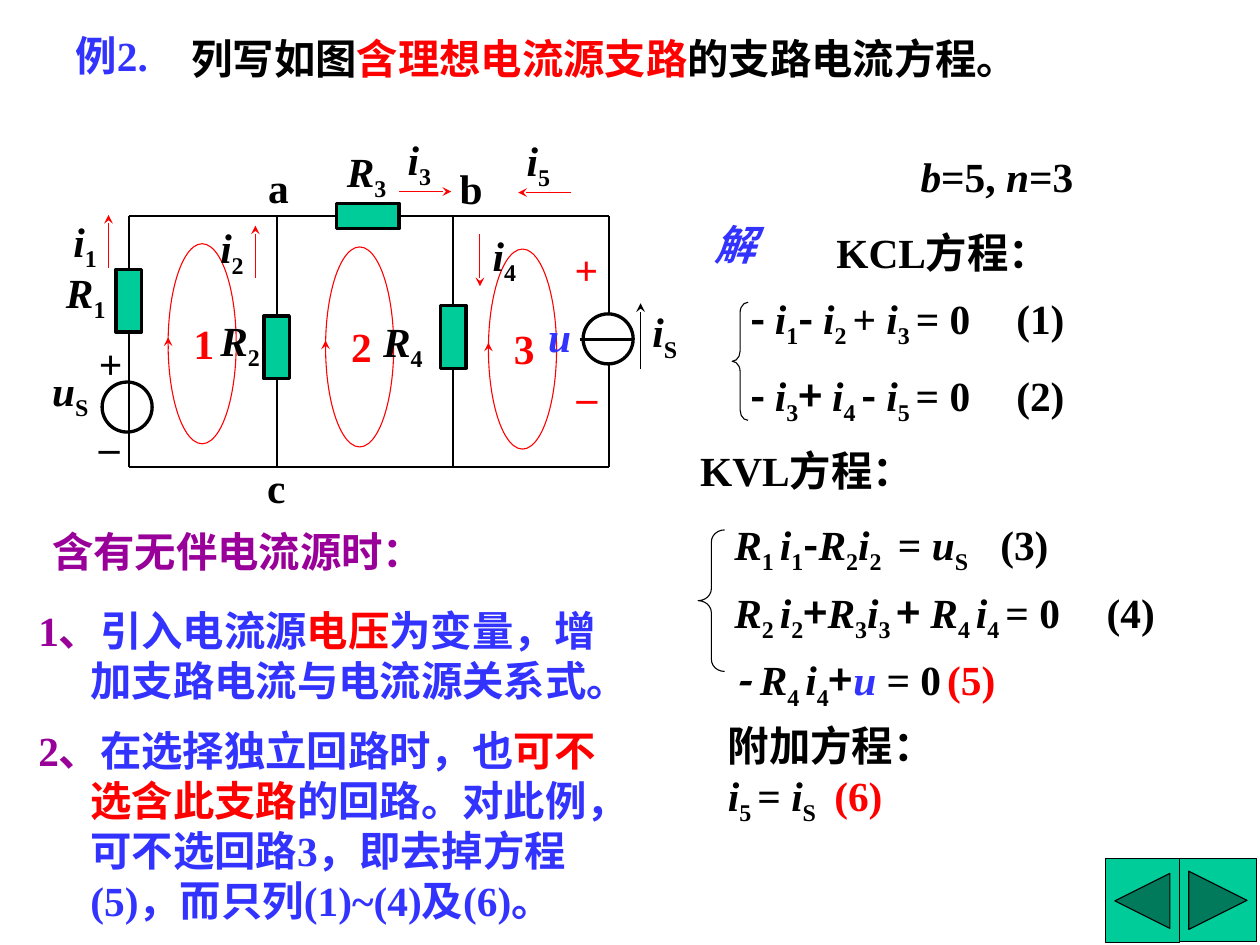
from lxml import etree
from pptx import Presentation
from pptx.dml.color import RGBColor
from pptx.enum.shapes import MSO_CONNECTOR, MSO_SHAPE
from pptx.enum.text import MSO_ANCHOR, MSO_AUTO_SIZE, PP_ALIGN
from pptx.oxml.ns import qn
from pptx.util import Inches, Pt

RECT, OVAL, BRACE = MSO_SHAPE.RECTANGLE, MSO_SHAPE.OVAL, MSO_SHAPE.LEFT_BRACE
BACK = MSO_SHAPE.ACTION_BUTTON_BACK_OR_PREVIOUS
NEXT = MSO_SHAPE.ACTION_BUTTON_FORWARD_OR_NEXT
STRAIGHT = MSO_CONNECTOR.STRAIGHT
TOP, LEFT, FIXED = MSO_ANCHOR.TOP, PP_ALIGN.LEFT, MSO_AUTO_SIZE.NONE

SERIF, SANS = "Times New Roman", "Noto Sans CJK SC"
BLACK, RED, BLUE, PURPLE, GREEN = "000000", "FF0000", "3333FF", "990099", "00CC99"

# Inline marks, each switching a style on or off:
# * italic, _ subscript, ` sans symbol, $ red, # blue
MARKS = "*_`$#"


def rgb(code):
    return RGBColor.from_string(code)


def parts(text):
    """Split marked text into (piece, active marks)."""
    on, piece = set(), ""
    for char in text:
        if char in MARKS:
            if piece:
                yield piece, set(on)
            piece = ""
            on ^= {char}
        else:
            piece += char
    if piece:
        yield piece, on


class Board:
    def __init__(self, wide, high):
        self.deck = Presentation()
        self.deck.slide_width, self.deck.slide_height = Inches(wide), Inches(high)
        self.slide = self.deck.slides.add_slide(self.deck.slide_layouts[1])
        self.shapes = self.slide.shapes

    def fill(self, frame, lines, color=BLACK, gap=0, lead=1.0, hang=0, tabs=()):
        """Fill a text frame with marked lines."""
        frame.word_wrap, frame.auto_size = True, FIXED
        frame.vertical_anchor = TOP
        frame.margin_left = frame.margin_right = Inches(0.12)
        frame.margin_top = frame.margin_bottom = Inches(0.06)
        for n, line in enumerate(lines):
            para = frame.paragraphs[0] if n == 0 else frame.add_paragraph()
            para.alignment, para.line_spacing = LEFT, lead
            para.space_before = Pt(gap if n else 0)
            props = para._p.get_or_add_pPr()
            props.set("marL", str(Inches(hang)))
            props.set("indent", str(-Inches(hang)))
            etree.SubElement(props, qn("a:buNone"))
            if "\t" in line:
                stops = etree.SubElement(props, qn("a:tabLst"))
                etree.SubElement(stops, qn("a:tab"), pos=str(Inches(tabs[n])), algn="l")
            font = para.font
            font.size, font.bold, font.name = Pt(28), True, SERIF
            font.color.rgb = rgb(color)
            etree.SubElement(props.find(qn("a:defRPr")), qn("a:ea"), typeface=SANS)
            for piece, on in parts(line):
                run = para.add_run()
                run.text = piece
                if "*" in on:
                    run.font.italic = True
                if "_" in on:
                    run._r.get_or_add_rPr().set("baseline", "-25000")
                if "`" in on:
                    run.font.name = SANS
                if on & {"$", "#"}:
                    run.font.color.rgb = rgb(RED if "$" in on else BLUE)

    def text(self, x, y, w, h, *lines, **style):
        box = self.shapes.add_textbox(Inches(x), Inches(y), Inches(w), Inches(h))
        self.fill(box.text_frame, lines, **style)

    def label(self, x, y, text, color=BLACK):
        self.text(x, y, 0.8, 0.59, text, color=color)

    def hold(self, item, x, y, w, h, *lines, **style):
        """Move a placeholder and fill it."""
        item.left, item.top, item.width, item.height = map(Inches, (x, y, w, h))
        self.fill(item.text_frame, lines, **style)

    def shape(self, kind, x, y, w, h, fill=None, line=BLACK, width=0.75):
        item = self.shapes.add_shape(kind, Inches(x), Inches(y), Inches(w), Inches(h))
        item.shadow.inherit = False
        if fill:
            item.fill.solid()
            item.fill.fore_color.rgb = rgb(fill)
        else:
            item.fill.background()
        item.line.color.rgb, item.line.width = rgb(line), Pt(width)
        return item

    def brace(self, x, y, w, h, bend):
        self.shape(BRACE, x, y, w, h).adjustments[0] = bend

    def wire(self, x1, y1, x2, y2, color=BLACK, width=1.5, head=False, start=None, end=None):
        """Draw a line; start and end are (shape, side) joints."""
        item = self.shapes.add_connector(STRAIGHT, *map(Inches, (x1, y1, x2, y2)))
        item.line.color.rgb, item.line.width = rgb(color), Pt(width)
        props = item._element.spPr
        if head:
            etree.SubElement(props.find(qn("a:ln")), qn("a:tailEnd"), type="stealth")
        etree.SubElement(props, qn("a:effectLst"))
        if start:
            item.begin_connect(*start)
        if end:
            item.end_connect(*end)

    def arrow(self, x1, y1, x2, y2, color=RED):
        self.wire(x1, y1, x2, y2, color, 0.75, True)


def main():
    board = Board(11.84, 8.88)
    title, body = board.slide.placeholders

    # Heading
    board.text(0.59, 0.22, 1.14, 0.59, "例2.", color=BLUE)
    board.hold(title, 1.68, 0.25, 9.62, 0.59, "列写如图$含理想电流源支路$的支路电流方程。")

    # Mesh loops
    for n, (x, y) in enumerate([(1.58, 2.29), (3.06, 2.32), (4.59, 2.34)], 1):
        board.shape(OVAL, x, y, 0.64, 1.88, line=RED)
        board.label(x + 0.12, y + 0.64, str(n), RED)
        board.arrow(x, y + 0.99, x, y + 0.88)

    # Circuit wires and parts
    roof, floor = 2.03, 4.39
    west, mid, east, end = 1.21, 2.6, 4.26, 5.72
    for x in (west, mid):
        board.wire(x, floor, x, roof)
    board.wire(west, floor, end, floor)
    for x, y in ((west, 2.53), (mid, 2.97)):
        board.shape(RECT, x - 0.12, y, 0.24, 0.59, GREEN, width=2.25)
    r3 = board.shape(RECT, 3.16, roof - 0.12, 0.59, 0.24, GREEN, width=2.25)
    r4 = board.shape(RECT, east - 0.12, 2.87, 0.24, 0.59, GREEN, width=2.25)
    board.wire(west, roof, 3.16, roof, end=(r3, 1))
    board.wire(3.75, roof, end, roof, start=(r3, 3))
    board.wire(east, roof, east, 2.87, end=(r4, 0))
    board.wire(east, 3.46, east, floor, start=(r4, 2))
    board.wire(end, roof, end, 2.95)
    board.wire(end, 3.42, end, floor)
    for x, y in ((0.96, 3.59), (5.48, 2.95)):
        board.shape(OVAL, x, y, 0.47, 0.47, width=2.25)
    board.wire(5.45, 3.19, 5.94, 3.19)

    # Current arrows
    for ends in [(1.02, 2.52, 1.02, 2.02), (2.4, 2.61, 2.4, 2.12), (3.75, 1.8, 4.24, 1.8),
                 (4.51, 2.2, 4.51, 2.69), (5.37, 1.81, 4.87, 1.81)]:
        board.arrow(*ends)
    board.arrow(6.02, 3.47, 6.02, 2.85, BLACK)

    # Circuit labels
    for x, y, name in [
        (0.57, 1.97, "*i*_1"), (1.95, 2.03, "*i*_2"), (3.71, 1.2, "*i*_3"),
        (4.51, 2.1, "*i*_4"), (4.83, 1.21, "*i*_5"), (6.01, 2.82, "*i*_S"),
        (0.5, 2.45, "*R*_1"), (1.95, 2.9, "*R*_2"), (3.14, 1.31, "*R*_3"),
        (3.48, 2.91, "*R*_4"), (0.37, 3.37, "*u*_S"), (5.03, 2.86, "#*u"),
        (2.4, 1.46, "a"), (4.2, 1.47, "b"), (2.39, 4.28, "c"),
        (0.81, 3.12, "+"), (0.81, 3.9, "–"), (5.28, 2.23, "$+"), (5.3, 3.43, "$–"),
    ]:
        board.label(x, y, name)

    # Node equations
    board.text(8.53, 1.36, 2.15, 0.59, "*b*=5, *n*=3")
    board.text(6.59, 2, 0.96, 0.59, "*解", color=BLUE)
    board.text(7.74, 2.07, 2.47, 0.59, "KCL方程：")
    board.text(6.93, 2.69, 4.32, 1.29,
               "`- `*i*_1_`- `*i*_2 _+ *i*_3 _= 0\t(1)",
               "`- `*i*_3_`+ `*i*_4 _`- `*i*_5 _= 0\t(2)",
               gap=14, tabs=(3.14, 3.24))
    board.brace(6.88, 2.84, 0.15, 1.11, 0.63)

    # Loop equations
    board.text(6.46, 4.12, 2.56, 0.59, "KVL方程：")
    board.text(6.78, 4.71, 4.79, 1.8,
               "*R*_1 _*i*_1_`-`*R*_2_*i*_2 _ = *u*_S_\t(3)",
               "*R*_2 _*i*_2_`+`*R*_3_*i*_3 _`+ `*R*_4 _*i*_4 _= 0\t(4)",
               "*`-` R*_4 _*i*_4_`+`#*u *#= 0\t$(5)",
               lead=1.2, tabs=(3.54, 3.63, 3.64))
    board.brace(6.56, 4.98, 0.25, 1.33, 0.45)

    # Extra equation
    board.text(6.72, 6.71, 4.42, 1.05, "附加方程：", "*i*_5 _= *i*_S_\t$(6)", tabs=(0, 3.68))

    # Notes on the current source
    board.text(0.37, 4.88, 4.13, 0.59, "含有无伴电流源时：", color=PURPLE)
    board.hold(body, 0.24, 5.63, 5.84, 3.12,
               "1、#引入电流源#$电压$#为变量，增加支路电流与电流源关系式。",
               "2、#在选择独立回路时，也#$可不选含此支路$"
               "#的回路。对此例，可不选回路3，即去掉方程(5)，而只列(1)~(4)及(6)。",
               color=PURPLE, gap=14, hang=0.49)

    # Page buttons
    board.shape(NEXT, 11.08, 8.07, 0.73, 0.78, GREEN)
    board.shape(BACK, 10.39, 8.07, 0.69, 0.79, GREEN)

    board.deck.save("out.pptx")


if __name__ == "__main__":
    main()
